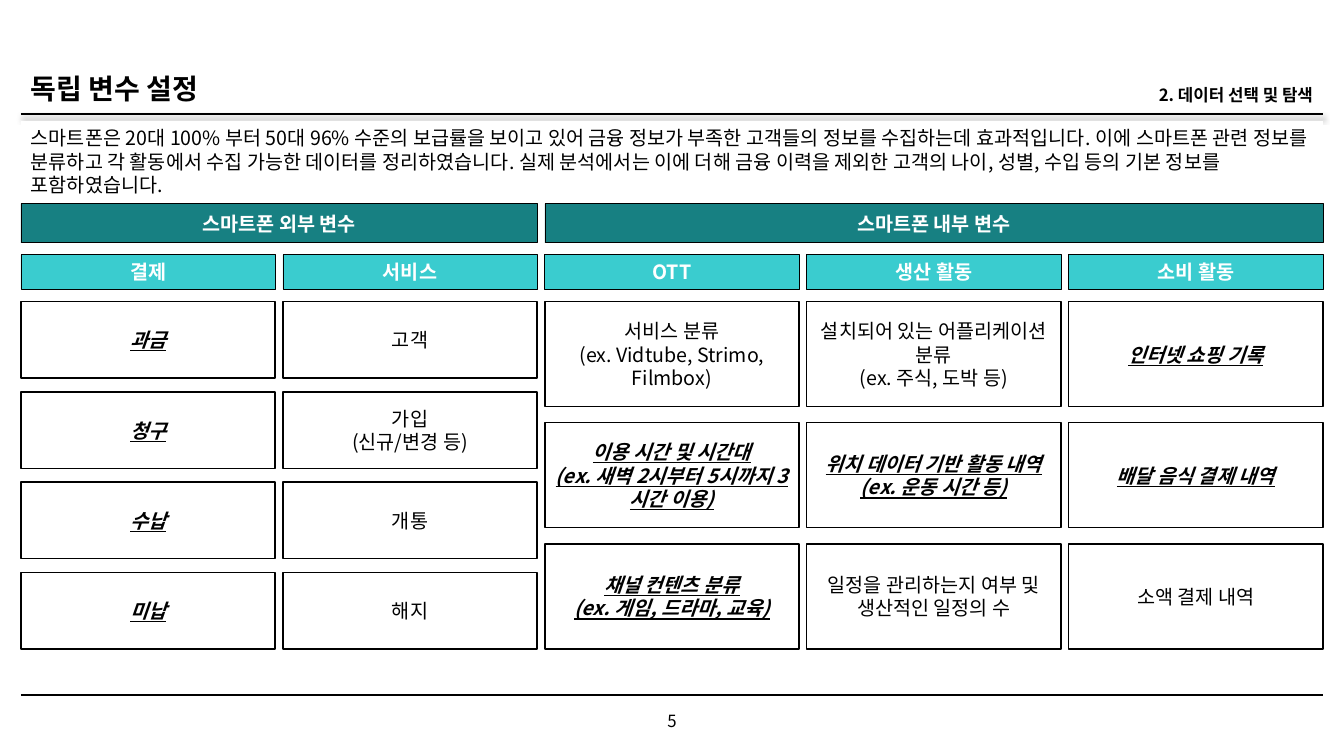
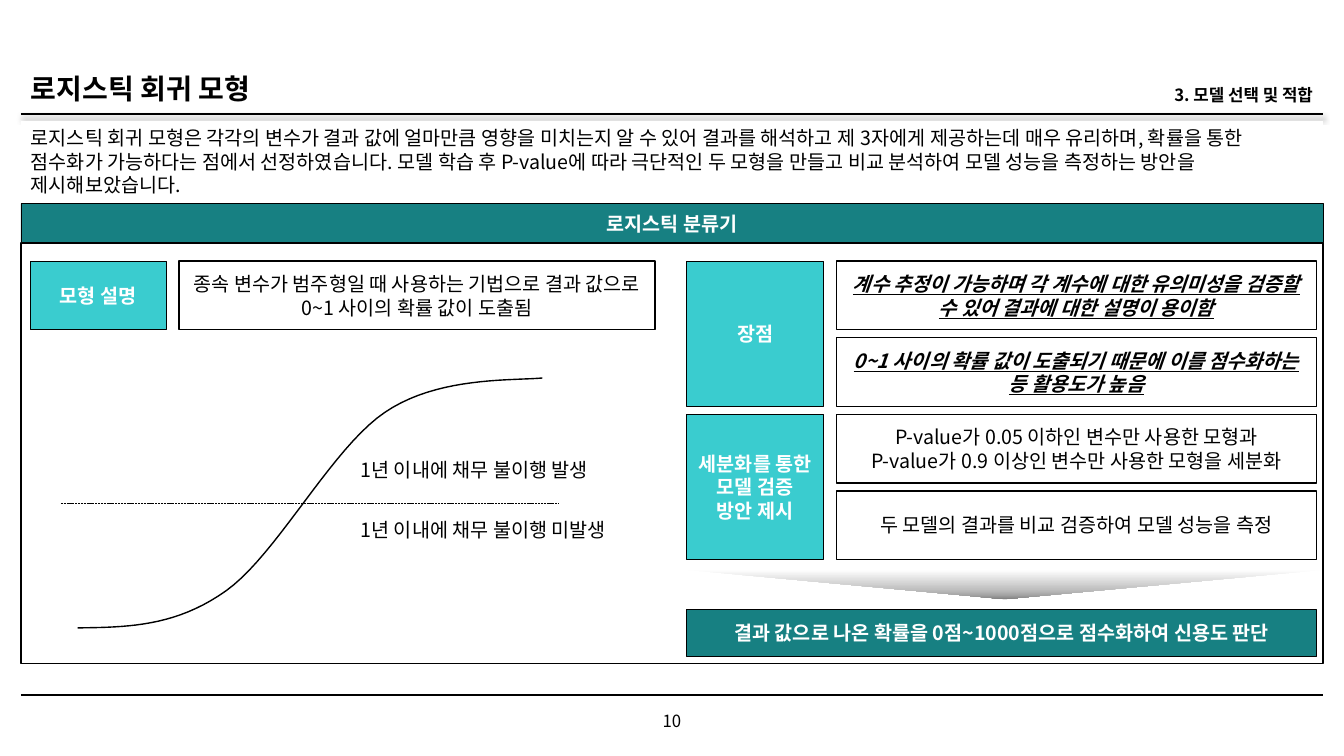
import lxml.etree
import pptx
import pptx.dml.color
import pptx.enum.dml
import pptx.enum.shapes
import pptx.enum.text
import pptx.oxml.ns
import pptx.util

Pt = pptx.util.Pt
qn = pptx.oxml.ns.qn
ALIGN = pptx.enum.text.PP_ALIGN
ANCHOR = pptx.enum.text.MSO_ANCHOR
SHAPE = pptx.enum.shapes.MSO_SHAPE

FONT = "Noto Sans CJK KR"
LINE_SPACING = 1.2
COLORS = {
    "ink": "000000",
    "paper": "FFFFFF",
    "teal": "178082",
    "aqua": "3ACCCF",
}
ARROW_STOPS = [(0, "FFFFFF"), (67, "BFBFBF"), (85, "A6A6A6"), (100, "808080")]

BASE = {"fill": None, "line": None, "color": "ink", "align": ALIGN.CENTER,
        "anchor": ANCHOR.MIDDLE, "font": {"size": Pt(14), "bold": False}}
HEADING = {"line": 0.5, "color": "paper", "font": {"size": Pt(14), "bold": True}}
CARD = {"fill": "paper", "line": 1}
STYLES = {
    "title": {"align": ALIGN.LEFT, "anchor": ANCHOR.BOTTOM,
              "font": {"size": Pt(20), "bold": True}},
    "section": {"align": ALIGN.RIGHT, "anchor": ANCHOR.BOTTOM,
                "font": {"size": Pt(12), "bold": True}},
    "intro": {"fill": "paper", "align": ALIGN.LEFT, "anchor": ANCHOR.TOP},
    "number": {"font": {"size": Pt(12)}},
    "label": {"align": ALIGN.LEFT, "anchor": ANCHOR.TOP},
    "band": {**HEADING, "fill": "teal"},
    "head": {**HEADING, "fill": "aqua"},
    "card": CARD,
    "key": {**CARD, "font": {"size": Pt(14), "bold": True, "italic": True,
                             "underline": True}},
}

LEFT, RIGHT = 15, 945
WIDTH = RIGHT - LEFT
BAND_TOP, BAND_HEIGHT = 145.5, 28

VARIABLES = {
    "title": "독립 변수 설정",
    "section": "2. 데이터 선택 및 탐색",
    "number": "5",
    "intro": "스마트폰은 20대 100% 부터 50대 96% 수준의 보급률을 보이고 있어 금융 정보가 부족한 고객들의 정보를 수집하는데 효과적입니다. 이에 스마트폰 관련 정보를 분류하고 각 활동에서 수집 가능한 데이터를 정리하였습니다. 실제 분석에서는 이에 더해 금융 이력을 제외한 고객의 나이, 성별, 수입 등의 기본 정보를 포함하였습니다.",
}
VARIABLE_GROUPS = [
    ("스마트폰 외부 변수", 9.8, [
        ("결제", [("key", "과금"), ("key", "청구"), ("key", "수납"), ("key", "미납")]),
        ("서비스", [("card", "고객"), ("card", "가입\n(신규/변경 등)"),
                 ("card", "개통"), ("card", "해지")]),
    ]),
    ("스마트폰 내부 변수", 11.5, [
        ("OTT", [("card", "서비스 분류\n(ex. Vidtube, Strimo, Filmbox)"),
                 ("key", "이용 시간 및 시간대\n(ex. 새벽 2시부터 5시까지 3시간 이용)"),
                 ("key", "채널 컨텐츠 분류\n(ex. 게임, 드라마, 교육)")]),
        ("생산 활동", [("card", "설치되어 있는 어플리케이션 분류\n(ex. 주식, 도박 등)"),
                   ("key", "위치 데이터 기반 활동 내역\n(ex. 운동 시간 등)"),
                   ("card", "일정을 관리하는지 여부 및\n생산적인 일정의 수")]),
        ("소비 활동", [("key", "인터넷 쇼핑 기록"), ("key", "배달 음식 결제 내역"),
                   ("card", "소액 결제 내역")]),
    ]),
]

MODEL = {
    "title": "로지스틱 회귀 모형",
    "section": "3. 모델 선택 및 적합",
    "number": "10",
    "intro": "로지스틱 회귀 모형은 각각의 변수가 결과 값에 얼마만큼 영향을 미치는지 알 수 있어 결과를 해석하고 제 3자에게 제공하는데 매우 유리하며, 확률을 통한 점수화가 가능하다는 점에서 선정하였습니다. 모델 학습 후 P-value에 따라 극단적인 두 모형을 만들고 비교 분석하여 모델 성능을 측정하는 방안을 제시해보았습니다.",
}
MODEL_BAND = "로지스틱 분류기"
MODEL_HEAD = "모형 설명"
MODEL_TEXT = "종속 변수가 범주형일 때 사용하는 기법으로 결과 값으로 0~1 사이의 확률 값이 도출됨"
MODEL_POINTS = [
    ("장점", [
        ("key", "계수 추정이 가능하며 각 계수에 대한 유의미성을 검증할 수 있어 결과에 대한 설명이 용이함"),
        ("key", "0~1 사이의 확률 값이 도출되기 때문에 이를 점수화하는 등 활용도가 높음")]),
    ("세분화를 통한 모델 검증\n방안 제시", [
        ("card", "P-value가 0.05 이하인 변수만 사용한 모형과\nP-value가 0.9 이상인 변수만 사용한 모형을 세분화"),
        ("card", "두 모델의 결과를 비교 검증하여 모델 성능을 측정")]),
]
CONCLUSION = "결과 값으로 나온 확률을 0점~1000점으로 점수화하여 신용도 판단"
CURVE_LABELS = [("1년 이내에 채무 불이행 발생", 323.5), ("1년 이내에 채무 불이행 미발생", 366.5)]
CURVE_START = (55.5, 448.5)
CURVE_PIECES = [
    ((90, 448), (125, 448), (161.5, 422)),
    ((198, 396), (237, 320), (275, 294.5)),
    ((312.5, 269), (365, 272), (387.5, 270)),
]
CURVE_STEPS = 20


def color(name):
    return pptx.dml.color.RGBColor.from_string(COLORS[name])


def add_xml(parent, tag, **attributes):
    return lxml.etree.SubElement(parent, qn(tag), attributes)


def put(page, style_name, text, left, top, width, height):
    style = {**BASE, **STYLES[style_name]}
    place = [Pt(value) for value in (left, top, width, height)]
    if style["fill"]:
        box = page.shapes.add_shape(SHAPE.RECTANGLE, *place)
        box.shadow.inherit = False
        box.fill.solid()
        box.fill.fore_color.rgb = color(style["fill"])
        if style["line"]:
            box.line.color.rgb = color("ink")
            box.line.width = Pt(style["line"])
        else:
            box.line.fill.background()
    else:
        box = page.shapes.add_textbox(*place)
    frame = box.text_frame
    frame.word_wrap = True
    frame.vertical_anchor = style["anchor"]
    frame.text = text
    for para in frame.paragraphs:
        para.alignment = style["align"]
        para.line_spacing = Pt(style["font"]["size"].pt * LINE_SPACING)
        for span in para.runs:
            for name, value in {"name": FONT, **style["font"]}.items():
                setattr(span.font, name, value)
            span.font.color.rgb = color(style["color"])
            add_xml(span.font._element, "a:ea", typeface=FONT)


def add_rule(page, left, right, top, width=1, dash=None, shadow=False):
    rule = page.shapes.add_connector(pptx.enum.shapes.MSO_CONNECTOR.STRAIGHT,
                                     Pt(left), Pt(top), Pt(right), Pt(top))
    rule.line.color.rgb = color("ink")
    rule.line.width = Pt(width)
    if dash:
        rule.line.dash_style = dash
    effects = add_xml(rule._element.spPr, "a:effectLst")
    if shadow:
        outer = add_xml(effects, "a:outerShdw", blurRad=str(Pt(4)), dist=str(Pt(3)),
                        dir="5400000", algn="t", rotWithShape="0")
        tone = add_xml(outer, "a:srgbClr", val=COLORS["ink"])
        add_xml(tone, "a:alpha", val="40000")


def add_page(deck, content):
    page = deck.slides.add_slide(deck.slide_layouts[6])
    add_rule(page, LEFT, RIGHT, 81.5, shadow=True)
    add_rule(page, LEFT, RIGHT, 496.5)
    put(page, "number", content["number"], 372, 500.5, 216, 29)
    put(page, "title", content["title"], LEFT, 32.5, 470, 46)
    put(page, "section", content["section"], 485, 32.5, 460, 46)
    put(page, "intro", content["intro"], LEFT, 86.5, WIDTH, 54.5)
    return page


def build_variables(deck):
    page = add_page(deck, VARIABLES)
    gap = 5.5
    count = sum(len(columns) for _, _, columns in VARIABLE_GROUPS)
    column_width = (WIDTH - gap * (count - 1)) / count
    cards_top, cards_height = 215.5, 248
    left = LEFT
    for name, row_gap, columns in VARIABLE_GROUPS:
        group_width = len(columns) * (column_width + gap) - gap
        put(page, "band", name, left, BAND_TOP, group_width, BAND_HEIGHT)
        for head, cards in columns:
            put(page, "head", head, left, 182, column_width, 24.5)
            height = (cards_height - row_gap * (len(cards) - 1)) / len(cards)
            for row, (style, text) in enumerate(cards):
                put(page, style, text, left, cards_top + row * (height + row_gap),
                    column_width, height)
            left += column_width + gap


def curve_points():
    start = CURVE_START
    for first, second, end in CURVE_PIECES:
        for step in range(1, CURVE_STEPS + 1):
            t = step / CURVE_STEPS
            s = 1 - t
            yield tuple(Pt(s**3 * a + 3 * s * s * t * b + 3 * s * t * t * c + t**3 * d)
                        for a, b, c, d in zip(start, first, second, end))
        start = end


def add_curve(page):
    builder = page.shapes.build_freeform(*[Pt(value) for value in CURVE_START])
    builder.add_line_segments(list(curve_points()), close=False)
    curve = builder.convert_to_shape()
    curve.shadow.inherit = False
    curve.fill.background()
    curve.line.color.rgb = color("ink")
    curve.line.width = Pt(1)
    add_rule(page, 43.5, 399.5, 359.5, 0.5, pptx.enum.dml.MSO_LINE.SQUARE_DOT)
    for text, top in CURVE_LABELS:
        put(page, "label", text, 250.5, top, 203, 24.5)


def add_down_arrow(page, left, top, width, height):
    arrow = page.shapes.add_shape(SHAPE.DOWN_ARROW, Pt(left), Pt(top), Pt(width), Pt(height))
    arrow.shadow.inherit = False
    arrow.adjustments[0] = 0.49
    arrow.adjustments[1] = 1
    arrow.line.fill.background()
    arrow.fill.gradient()
    arrow.fill.gradient_angle = 270
    stops = arrow._element.spPr.find(qn("a:gradFill")).find(qn("a:gsLst"))
    for stop in list(stops):
        stops.remove(stop)
    for position, tone in ARROW_STOPS:
        stop = add_xml(stops, "a:gs", pos=str(position * 1000))
        add_xml(stop, "a:srgbClr", val=tone)


def build_model(deck):
    page = add_page(deck, MODEL)
    top, height, gap = 186.5, 49, 5.7
    head_left, card_left = 490.5, 597.5
    put(page, "card", "", LEFT, BAND_TOP + BAND_HEIGHT, WIDTH, 300.5)
    put(page, "band", MODEL_BAND, LEFT, BAND_TOP, WIDTH, BAND_HEIGHT)
    put(page, "head", MODEL_HEAD, 21.5, top, 97.5, height)
    put(page, "card", MODEL_TEXT, 128, top, 340, height)
    add_curve(page)
    for head, cards in MODEL_POINTS:
        put(page, "head", head, head_left, top, 98, len(cards) * (height + gap) - gap)
        for style, text in cards:
            put(page, style, text, card_left, top, 343, height)
            top += height + gap
    add_down_arrow(page, head_left, 407, 454.5, 21)
    put(page, "band", CONCLUSION, head_left, 435.5, 450, 33.5)


def main():
    deck = pptx.Presentation()
    deck.slide_width, deck.slide_height = Pt(960), Pt(540)
    build_variables(deck)
    build_model(deck)
    deck.save("out.pptx")


if __name__ == "__main__":
    main()
